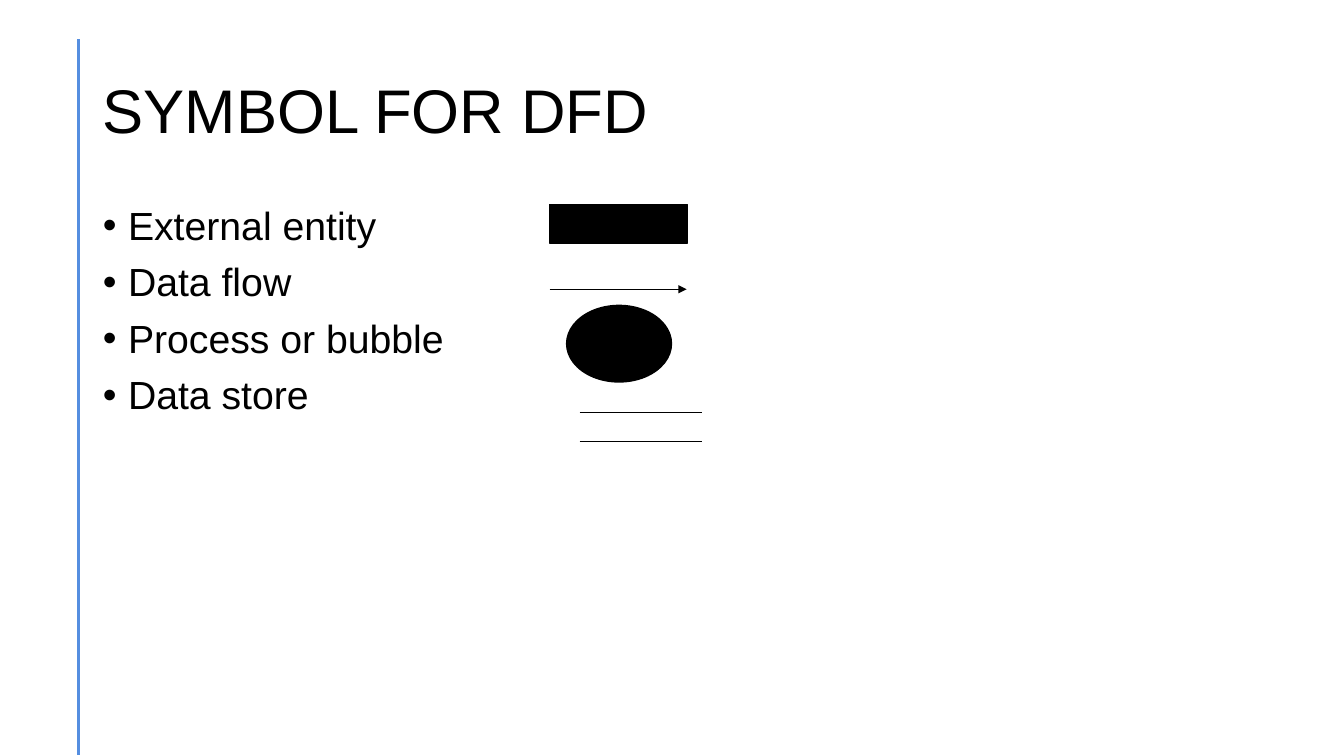
from dataclasses import dataclass

from lxml import etree
from pptx import Presentation
from pptx.dml.color import RGBColor
from pptx.enum.shapes import MSO_CONNECTOR, MSO_SHAPE
from pptx.enum.text import MSO_ANCHOR, MSO_AUTO_SIZE, PP_ALIGN
from pptx.oxml.ns import qn
from pptx.util import Inches, Pt

STRAIGHT = MSO_CONNECTOR.STRAIGHT
RECTANGLE, OVAL = MSO_SHAPE.RECTANGLE, MSO_SHAPE.OVAL
LEFT, TOP, MIDDLE = PP_ALIGN.LEFT, MSO_ANCHOR.TOP, MSO_ANCHOR.MIDDLE
NO_AUTOFIT = MSO_AUTO_SIZE.NONE


@dataclass
class Theme:
    font: str = "Arial"
    ink: RGBColor = RGBColor(0, 0, 0)
    rule: RGBColor = RGBColor(0x55, 0x8E, 0xE0)
    title_size: int = 44
    body_size: int = 28


theme = Theme()


def fill_placeholder(placeholder, box, lines, size, anchor):
    placeholder.left, placeholder.top, placeholder.width, placeholder.height = map(Inches, box)
    text_frame = placeholder.text_frame
    text_frame.text = "\n".join(lines)
    text_frame.auto_size = NO_AUTOFIT
    text_frame.vertical_anchor = anchor
    for paragraph in text_frame.paragraphs:
        paragraph.alignment = LEFT
        paragraph.line_spacing = 0.9
        paragraph.space_before = Pt(0)
        for run in paragraph.runs:
            run.font.name = theme.font
            run.font.size = Pt(size)
            run.font.color.rgb = theme.ink
    return text_frame.paragraphs


def add_line(start, end, color, width):
    line = slide.shapes.add_connector(STRAIGHT, *map(Inches, start + end))
    line.line.color.rgb = color
    line.line.width = Pt(width)
    etree.SubElement(line._element.spPr, qn("a:effectLst"))
    return line


presentation = Presentation()
presentation.slide_width = Inches(13.33)
presentation.slide_height = Inches(7.5)
slide = presentation.slides.add_slide(presentation.slide_layouts[1])

# Side rule, title and list
margin, content_width = 0.92, 11.5
add_line((0.78, 0.39), (0.78, 7.49), theme.rule, 2)
title, body = slide.placeholders
fill_placeholder(title, (margin, 0.4, content_width, 1.45),
                 ["SYMBOL FOR DFD"], theme.title_size, MIDDLE)
symbol_names = ["External entity", "Data flow", "Process or bubble", "Data store"]
items = fill_placeholder(body, (margin, 2, content_width, 4.76),
                         symbol_names, theme.body_size, TOP)
for index, item in enumerate(items):
    item.space_before = Pt(10 if index else 0)
    properties = item._p.get_or_add_pPr()
    properties.set("marL", str(Inches(0.25)))
    properties.set("indent", str(-Inches(0.25)))
    etree.SubElement(properties, qn("a:buFont")).set("typeface", theme.font)
    etree.SubElement(properties, qn("a:buChar")).set("char", "•")

# External entity and process
for kind, box in [(RECTANGLE, (5.45, 2.03, 1.37, 0.38)),
                  (OVAL, (5.62, 3.03, 1.04, 0.76))]:
    symbol = slide.shapes.add_shape(kind, *map(Inches, box))
    symbol.shadow.inherit = False
    symbol.fill.solid()
    symbol.fill.fore_color.rgb = theme.ink
    symbol.line.color.rgb = theme.ink
    symbol.line.width = Pt(1)

# Data flow
data_flow = add_line((5.45, 2.87), (6.81, 2.87), theme.ink, 0.5)
etree.SubElement(data_flow.line._get_or_add_ln(), qn("a:tailEnd")).set("type", "triangle")

# Data store
for y in (4.09, 4.38):
    add_line((5.75, y), (6.96, y), theme.ink, 0.5)

presentation.save("out.pptx")
